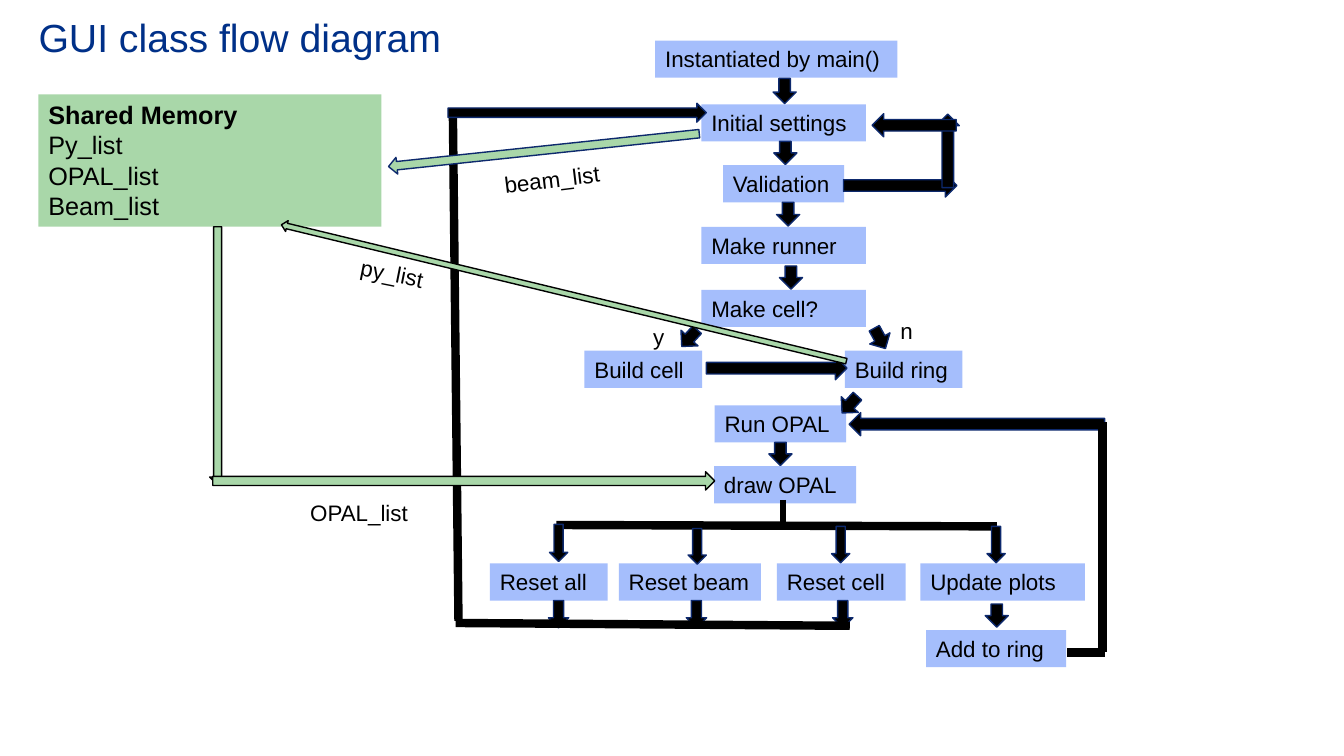
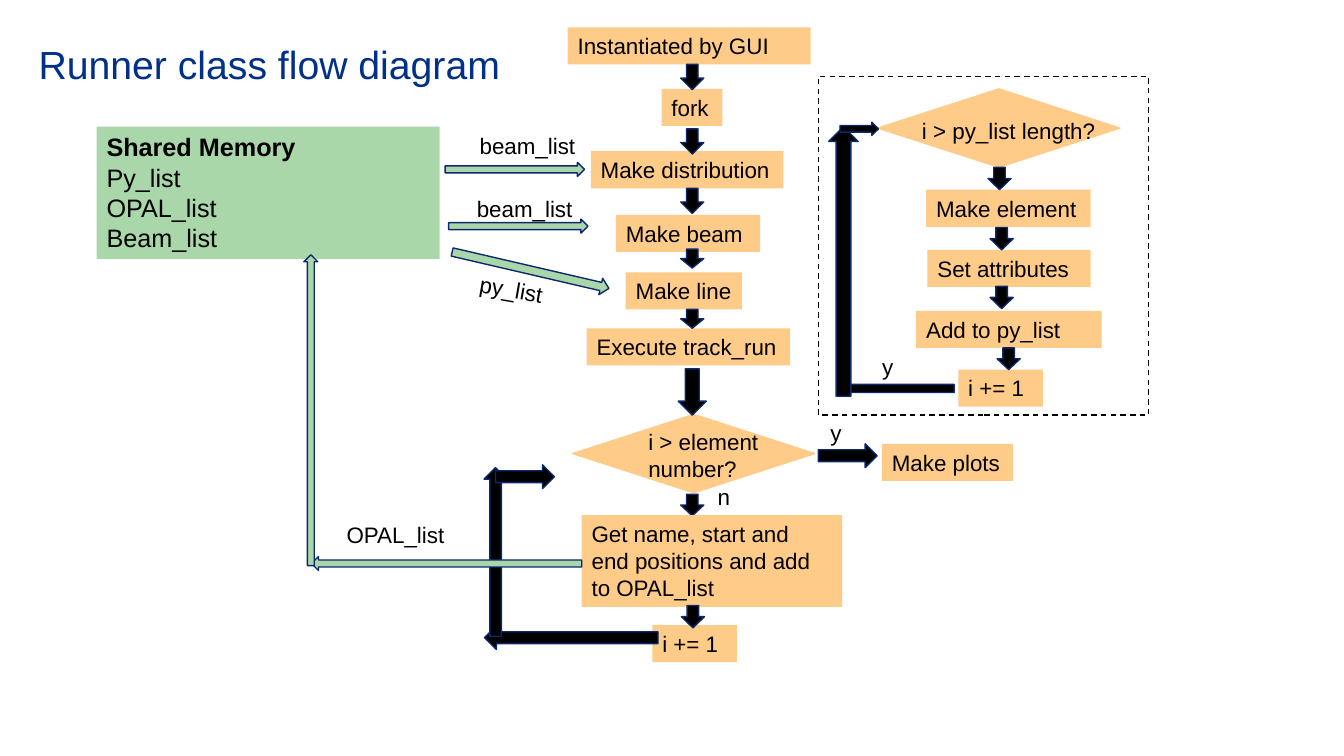
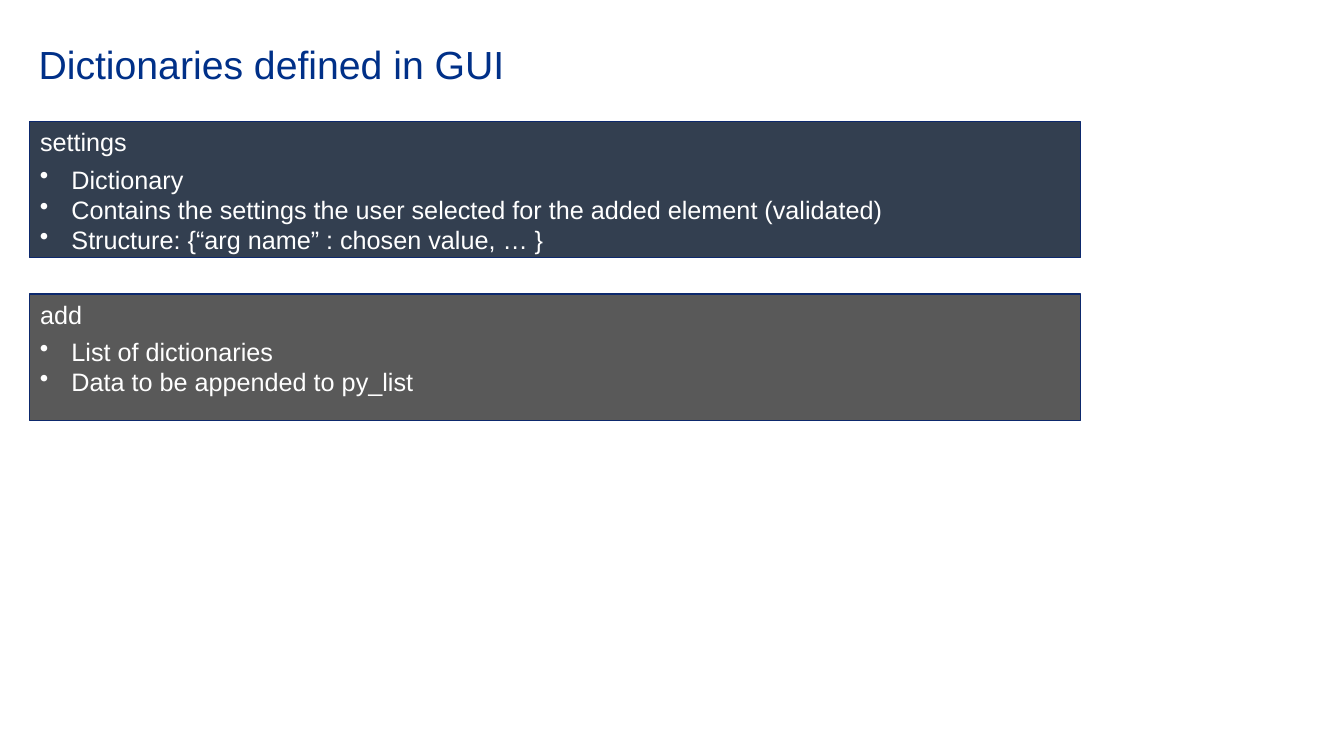
from math import atan2, degrees, hypot

from pptx import Presentation
from pptx.dml.color import RGBColor
from pptx.enum.dml import MSO_LINE
from pptx.enum.shapes import MSO_CONNECTOR, MSO_SHAPE
from pptx.enum.text import MSO_ANCHOR, PP_ALIGN
from pptx.oxml.ns import qn
from pptx.util import Pt

RECTANGLE = MSO_SHAPE.RECTANGLE
DIAMOND = MSO_SHAPE.DIAMOND
DOWN_ARROW = MSO_SHAPE.DOWN_ARROW
STRAIGHT = MSO_CONNECTOR.STRAIGHT
DASH = MSO_LINE.DASH
TOP = MSO_ANCHOR.TOP
LEFT = PP_ALIGN.LEFT

BLACK = RGBColor(0x00, 0x00, 0x00)
WHITE = RGBColor(0xFF, 0xFF, 0xFF)
TITLE_BLUE = RGBColor(0x00, 0x30, 0x88)
OUTLINE_NAVY = RGBColor(0x0D, 0x29, 0x6D)
GUI_BLUE = RGBColor(0xA5, 0xBE, 0xFC)
RUNNER_ORANGE = RGBColor(0xFF, 0xCB, 0x89)
MEMORY_GREEN = RGBColor(0xA9, 0xD7, 0xA9)
SETTINGS_SLATE = RGBColor(0x33, 0x3F, 0x50)
ADD_GREY = RGBColor(0x59, 0x59, 0x59)

FONT = "Arial"
STEP_SIZE = 16
BODY_SIZE = 18
STEP_HEIGHT = 26.5
ARROW_WIDTH = 16.5
BULLET_INDENT = 22.5


def write(shape, lines, size, color=BLACK, bold_first=False):
    frame = shape.text_frame
    frame.word_wrap = True
    frame.vertical_anchor = TOP
    for index, line in enumerate(lines):
        paragraph = frame.paragraphs[0] if index == 0 else frame.add_paragraph()
        paragraph.alignment = LEFT
        run = paragraph.add_run()
        run.text = line
        run.font.name = FONT
        run.font.size = Pt(size)
        run.font.color.rgb = color
        run.font.bold = bold_first and index == 0
    return frame


def add_block(slide, preset, left, top, width, height, fill=None, outline=None):
    block = slide.shapes.add_shape(preset, Pt(left), Pt(top), Pt(width), Pt(height))
    block.shadow.inherit = False
    if fill is None:
        block.fill.background()
    else:
        block.fill.solid()
        block.fill.fore_color.rgb = fill
    if outline is None:
        block.line.fill.background()
    else:
        block.line.color.rgb = outline
        block.line.width = Pt(1)
    return block


def add_label(slide, lines, left, top, width, height=STEP_HEIGHT, size=STEP_SIZE,
              color=BLACK, rotation=0):
    label = slide.shapes.add_textbox(Pt(left), Pt(top), Pt(width), Pt(height))
    label.rotation = rotation
    return write(label, lines, size, color)


def add_title(slide, title, top):
    frame = add_label(slide, [title], 20.5, top, 460, 45, 28, TITLE_BLUE)
    frame.paragraphs[0].line_spacing = 0.9


def add_steps(slide, fill, steps):
    for text, left, top, width in steps:
        write(add_block(slide, RECTANGLE, left, top, width, STEP_HEIGHT, fill),
              [text], STEP_SIZE)


def add_arrow(slide, tail, head, width=ARROW_WIDTH, fill=BLACK, outline=OUTLINE_NAVY):
    """Draw a block arrow whose centre line runs from tail to head."""
    (x1, y1), (x2, y2) = tail, head
    length = hypot(x2 - x1, y2 - y1)
    arrow = add_block(slide, DOWN_ARROW, (x1 + x2 - width) / 2,
                      (y1 + y2 - length) / 2, width, length, fill, outline)
    arrow.rotation = degrees(atan2(x1 - x2, y2 - y1))


def add_down_arrows(slide, spans, width=ARROW_WIDTH):
    for x, top, bottom in spans:
        add_arrow(slide, (x, top), (x, bottom), width)


def add_line(slide, start, end, width=6):
    line = slide.shapes.add_connector(STRAIGHT, *(Pt(v) for v in (*start, *end)))
    line.line.color.rgb = BLACK
    line.line.width = Pt(width)
    properties = line._element.spPr
    properties.append(properties.makeelement(qn("a:effectLst"), {}))


def add_shared_memory(slide, left, top):
    memory = add_block(slide, RECTANGLE, left, top, 245, 94.5, MEMORY_GREEN)
    write(memory, ["Shared Memory", "Py_list", "OPAL_list", "Beam_list"],
          BODY_SIZE, bold_first=True)


def add_bullets(slide, lines, left, top, width, height):
    frame = add_label(slide, lines, left, top, width, height, BODY_SIZE, WHITE)
    for paragraph in frame.paragraphs:
        properties = paragraph._p.get_or_add_pPr()
        properties.set("marL", str(Pt(BULLET_INDENT)))
        properties.set("indent", str(-Pt(BULLET_INDENT)))
        properties.append(properties.makeelement(qn("a:buChar"), {"char": "•"}))


def add_dictionary(slide, name, facts, top, height, fill):
    add_block(slide, RECTANGLE, 21, top, 751, height, fill, OUTLINE_NAVY)
    add_label(slide, [name], 21.5, top, 140, 29, BODY_SIZE, WHITE)
    add_bullets(slide, facts, 21.5, top + 26.5, 745, 7.5 + 21.5 * len(facts))


def build_gui_flow(slide):
    add_title(slide, "GUI class flow diagram", 10)
    resets_top = 402.5
    add_steps(slide, GUI_BLUE, [
        ("Instantiated by main()", 468, 29, 173),
        ("Initial settings", 501, 74.5, 117.5),
        ("Validation", 516.5, 118, 86.5),
        ("Make runner", 501, 162, 117.5),
        ("Make cell?", 501, 207, 117.5),
        ("Build cell", 417.5, 250.5, 84),
        ("Build ring", 603.5, 250.5, 84),
        ("Run OPAL", 510.5, 289.5, 94),
        ("draw OPAL", 510, 333, 101.5),
        ("Reset all", 350, resets_top, 84),
        ("Reset beam", 442, resets_top, 101.5),
        ("Reset cell", 555, resets_top, 92),
        ("Update plots", 657.5, resets_top, 117.5),
        ("Add to ring", 661.5, 450, 100),
    ])
    add_down_arrows(slide, [
        (560.5, 56, 74), (561, 101, 117.5), (563, 144.5, 161.5),
        (565, 190, 206.5), (557.5, 316, 332.5), (712, 431.5, 448),
    ])

    validation_retry = [
        ((602.5, 132.5), (683.5, 132.5)),
        ((677, 134), (677, 81.5)),
        ((683, 89.5), (623, 89.5)),
    ]
    cell_choice = [
        ((498, 235.5), (487, 247.5)),
        ((624.5, 234.5), (632.5, 249)),
        ((504.5, 263), (605, 263)),
        ((612.5, 283), (601.5, 295)),
    ]
    ring_to_run = ((789, 303), (606.5, 303))
    for tail, head in [*validation_retry, *cell_choice, ring_to_run]:
        add_arrow(slide, tail, head)

    add_line(slide, (559.5, 357), (559.5, 375), 4.5)
    add_line(slide, (712, 376), (397.5, 375))
    add_down_arrows(slide, [(399, 374.5, 401), (498, 377.5, 403),
                            (600.5, 376, 402), (711.5, 376, 402)], 13)
    add_down_arrows(slide, [(x, 429, 448.5) for x in (399, 497.5, 602)], 14.5)
    for start, end in [
        ((607, 447), (325.5, 445)),
        ((327.5, 443.5), (323.5, 81.5)),
        ((789, 466), (762, 466)),
        ((787.5, 466), (787.5, 301.5)),
    ]:
        add_line(slide, start, end)
    add_arrow(slide, (320, 80.5), (504.5, 80.5), 13.5)

    add_shared_memory(slide, 27.5, 67.5)
    for tail, head, width, outline in [
        ((499.5, 95.5), (277.5, 119), 12, OUTLINE_NAVY),
        ((604.5, 258), (201, 160.5), 8, BLACK),
        ((155.5, 162), (155.5, 346.5), 11.5, BLACK),
        ((152, 343.5), (510.5, 343.5), 13, BLACK),
    ]:
        add_arrow(slide, tail, head, width, MEMORY_GREEN, outline)
    for text, left, top, width, rotation in [
        ("beam_list", 353, 114, 93, 353),
        ("py_list", 250, 186.5, 104.5, 11.3),
        ("OPAL_list", 214.5, 353, 104.5, 0),
        ("y", 459.5, 227.5, 21.5, 0),
        ("n", 636, 223, 21.5, 0),
    ]:
        add_label(slide, [text], left, top, width, rotation=rotation)


def build_runner_flow(slide):
    add_title(slide, "Runner class flow diagram", 29)
    add_steps(slide, RUNNER_ORANGE, [
        ("Instantiated by GUI", 405.5, 19.5, 173.5),
        ("fork", 472.5, 63.5, 43.5),
        ("Make distribution", 422, 108, 137.5),
        ("Make beam", 440, 153.5, 103),
        ("Make line", 447, 194.5, 83),
        ("Execute track_run", 419, 234.5, 145.5),
        ("i += 1", 466, 446.5, 60.5),
        ("Make plots", 630, 317, 93.5),
        ("Make element", 661.5, 135.5, 117.5),
        ("Set attributes", 662.5, 178.5, 116.5),
        ("Add to py_list", 654.5, 222, 132.5),
        ("i += 1", 684.5, 264, 60.5),
    ])
    for left, top in [(409, 296), (627, 63.5)]:
        add_block(slide, DIAMOND, left, top, 173, 56, RUNNER_ORANGE, RUNNER_ORANGE)
    add_label(slide, ["i > element number?"], 456, 302.5, 101, 46)
    add_label(slide, ["i > py_list length?"], 651.5, 80, 142.5)

    add_down_arrows(slide, [
        (494.5, 46, 64), (494.5, 92, 110), (494.5, 134.5, 152.5),
        (494.5, 178, 191.5), (494.5, 221, 234.5), (494.5, 353, 368.5),
        (714, 119.5, 135.5), (715.5, 162.5, 178.5),
        (715.5, 204.5, 220.5), (720.5, 248.5, 264),
    ])
    add_down_arrows(slide, [(494.5, 263.5, 296.5)], 20)

    element_loop = [
        ((470, 455.5), (346, 455.5), 17),
        ((354, 454.5), (354, 334), 16.5),
        ((354, 340.5), (396, 340.5), 17),
    ]
    to_plots = ((584.5, 325.5), (626.5, 325.5), 17)
    py_list_loop = [
        ((681.5, 277.5), (600, 277.5), 11.5),
        ((602.5, 283), (602.5, 90.5), 21),
        ((600, 92), (627.5, 92), 9.5),
    ]
    for tail, head, width in [*element_loop, to_plots, *py_list_loop]:
        add_arrow(slide, tail, head, width)

    positions = add_block(slide, RECTANGLE, 415.5, 368, 186, 65.5, RUNNER_ORANGE)
    write(positions, ["Get name, start and end positions and add to OPAL_list"],
          STEP_SIZE)
    add_down_arrows(slide, [(495, 432.5, 448.5)])
    loop_frame = add_block(slide, RECTANGLE, 584.5, 54.5, 236, 242, outline=BLACK)
    loop_frame.line.dash_style = DASH

    add_shared_memory(slide, 69, 90.5)
    for tail, head, width in [
        ((318, 121), (417.5, 121), 10),
        ((320.5, 161.5), (420, 161.5), 10),
        ((415.5, 402.5), (222.5, 402.5), 10),
        ((323, 180), (435, 206), 12),
        ((222, 404), (222, 182), 10),
    ]:
        add_arrow(slide, tail, head, width, MEMORY_GREEN)
    for text, left, top, width, rotation in [
        ("py_list", 335.5, 194.5, 70, 10),
        ("beam_list", 333.5, 135.5, 104.5, 0),
        ("beam_list", 335.5, 90.5, 104.5, 0),
        ("OPAL_list", 240.5, 368.5, 104.5, 0),
        ("y", 586, 296, 21.5, 0),
        ("n", 505.5, 341.5, 21.5, 0),
        ("y", 623, 249, 21.5, 0),
    ]:
        add_label(slide, [text], left, top, width, rotation=rotation)


def build_dictionaries(slide):
    add_title(slide, "Dictionaries defined in GUI", 29)
    add_dictionary(slide, "settings", [
        "Dictionary",
        "Contains the settings the user selected for the added element (validated)",
        "Structure: {“arg name” : chosen value, … }",
    ], 87, 97, SETTINGS_SLATE)
    add_dictionary(slide, "add", [
        "List of dictionaries",
        "Data to be appended to py_list",
    ], 210, 90.5, ADD_GREY)


def main():
    deck = Presentation()
    deck.slide_width, deck.slide_height = Pt(960), Pt(540)
    blank = deck.slide_layouts[6]
    for build in (build_gui_flow, build_runner_flow, build_dictionaries):
        build(deck.slides.add_slide(blank))
    deck.save("out.pptx")


if __name__ == "__main__":
    main()
